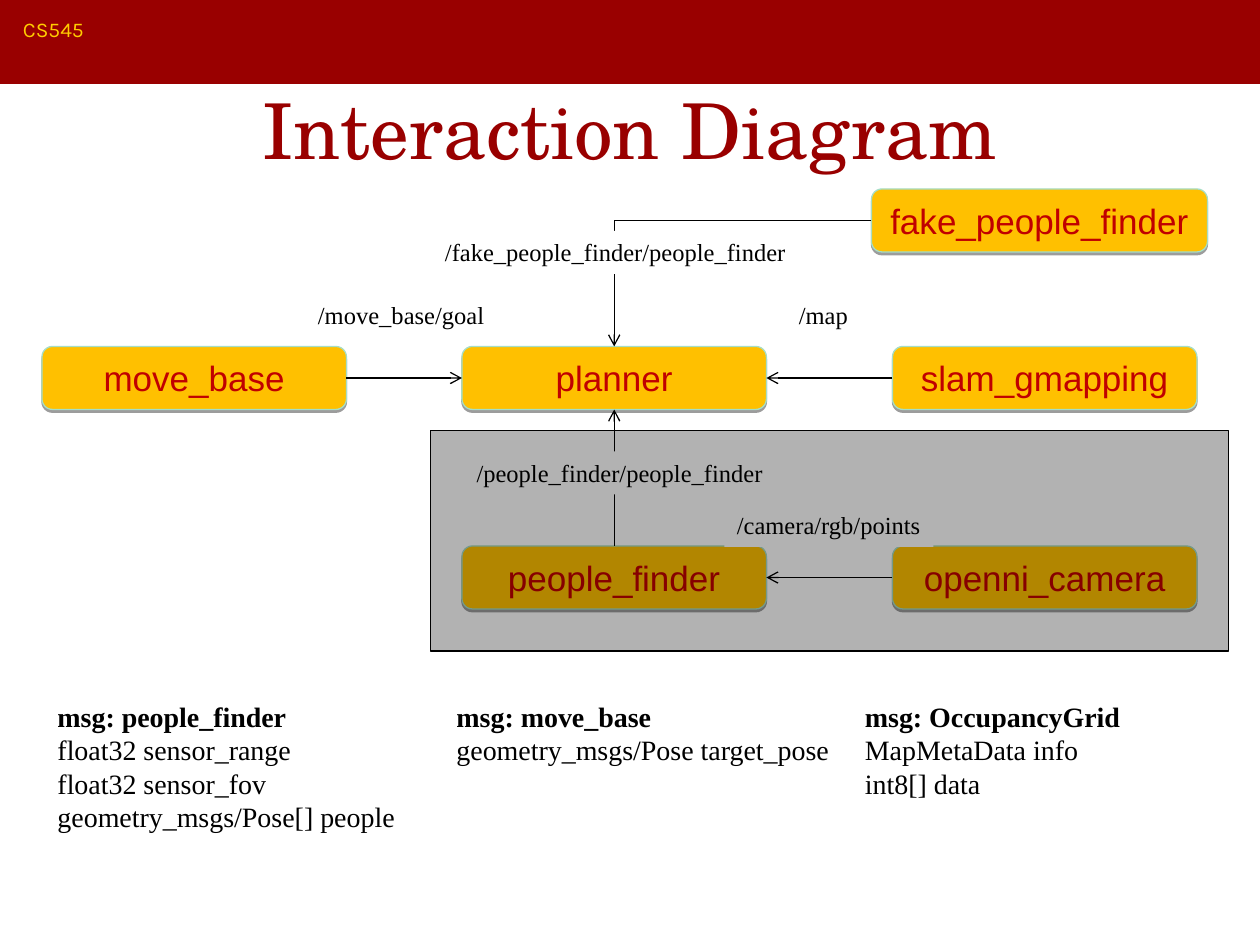
from lxml.etree import SubElement
from pptx import Presentation
from pptx.dml.color import RGBColor
from pptx.enum.shapes import MSO_CONNECTOR, MSO_SHAPE
from pptx.enum.text import MSO_ANCHOR, PP_ALIGN
from pptx.oxml.ns import qn
from pptx.util import Inches, Pt

# Content: positions are in grid units, 120 columns by 90 rows on the slide
COLORS = {"red": "990000", "yellow": "FFCC00", "node": "FFC000", "edge": "A5DEC6",
          "node_text": "C00000", "black": "000000", "white": "FFFFFF"}
UNIT = 1 / 12
NODE_WIDTH, NODE_HEIGHT = 29, 6
LEFT, MIDDLE, RIGHT = 4, 44, 85
UPPER, LOWER = 33, 52

NODES = {  # name: column, row, width
    "move_base": (LEFT, UPPER, NODE_WIDTH),
    "people_finder": (MIDDLE, LOWER, NODE_WIDTH),
    "slam_gmapping": (RIGHT, UPPER, NODE_WIDTH),
    "fake_people_finder": (83, 18, 32),
    "planner": (MIDDLE, UPPER, NODE_WIDTH),
    "openni_camera": (RIGHT, LOWER, NODE_WIDTH),
}
TOP_SIDE, LEFT_SIDE, BOTTOM_SIDE, RIGHT_SIDE = range(4)
LINKS = [  # source, side, target, side
    ("fake_people_finder", LEFT_SIDE, "planner", TOP_SIDE),
    ("people_finder", TOP_SIDE, "planner", BOTTOM_SIDE),
    ("slam_gmapping", LEFT_SIDE, "planner", RIGHT_SIDE),
    ("move_base", RIGHT_SIDE, "planner", LEFT_SIDE),
    ("openni_camera", LEFT_SIDE, "people_finder", RIGHT_SIDE),
]
TOPICS = [  # text, column, row, width
    ("/camera/rgb/points", 69, 48, 19.9),
    ("/map", 74.9, 28, 7.1),
    ("/fake_people_finder/people_finder", 41.2, 22, 34.8),
    ("/move_base/goal", 29.1, 28, 18.2),
    ("/people_finder/people_finder", 44.2, 43, 29.6),
]
MESSAGES = [  # column, width, lines
    (4.3, 34.6, ["msg: people_finder", "float32 sensor_range", "float32 sensor_fov",
                 "geometry_msgs/Pose[] people"]),
    (42.3, 37.9, ["msg: move_base", "geometry_msgs/Pose target_pose"]),
    (81.2, 26.6, ["msg: OccupancyGrid", "MapMetaData info", "int8[] data"]),
]


def grid(*values):
    return [Inches(value * UNIT) for value in values]


def color(name):
    return RGBColor.from_string(COLORS[name])


def add_run(paragraph, text, font_name, size, color_name, bold=False):
    run = paragraph.add_run()
    run.text = text
    run.font.name = font_name
    run.font.size = Pt(size)
    run.font.bold = bold
    run.font.color.rgb = color(color_name)


def add_box(slide, preset, area, fill, line=None):
    shape = slide.shapes.add_shape(preset, *grid(*area))
    shape.fill.solid()
    shape.fill.fore_color.rgb = color(fill)
    if line:
        shape.line.color.rgb = color(line)
        shape.line.width = Pt(0.75)
    else:
        shape.line.fill.background()
    shape.shadow.inherit = False
    return shape


def add_text(slide, area, lines, font_name, size, color_name, wrap=False, bold_first=False):
    box = slide.shapes.add_textbox(*grid(*area))
    frame = box.text_frame
    frame.word_wrap = wrap
    if not wrap:
        frame.margin_right = 0  # spare room keeps each line whole
    for index, line in enumerate(lines):
        paragraph = frame.add_paragraph() if index else frame.paragraphs[0]
        add_run(paragraph, line, font_name, size, color_name, bold_first and index == 0)
    return box


def add_node(slide, name, column, row, width):
    node = add_box(slide, MSO_SHAPE.ROUNDED_RECTANGLE,
                   (column, row, width, NODE_HEIGHT), "node", "edge")
    effects = node._element.spPr.find(qn("a:effectLst"))
    shadow = SubElement(effects, qn("a:outerShdw"), blurRad="0", dist=str(Pt(1.6)),
                        dir="5400000", algn="ctr", rotWithShape="0")
    shade = SubElement(shadow, qn("a:srgbClr"), val=COLORS["black"])
    SubElement(shade, qn("a:alpha"), val="38000")
    frame = node.text_frame
    frame.word_wrap = True
    frame.vertical_anchor = MSO_ANCHOR.MIDDLE
    paragraph = frame.paragraphs[0]
    paragraph.alignment = PP_ALIGN.CENTER
    add_run(paragraph, name, "Arial", 20, "node_text")
    return node


def add_link(slide, source, source_side, target, target_side):
    upward = source_side == TOP_SIDE
    kind = MSO_CONNECTOR.STRAIGHT if upward else MSO_CONNECTOR.ELBOW
    link = slide.shapes.add_connector(kind, 0, 0, 0, 0)
    link.begin_connect(source, source_side)
    link.end_connect(target, target_side)
    link.line.color.rgb = color("black")
    link.line.width = Pt(0.75)
    properties = link._element.spPr
    SubElement(link.line._get_or_add_ln(), qn("a:tailEnd"), type="arrow")
    SubElement(properties, qn("a:effectLst"))
    if target_side == TOP_SIDE:
        # One corner: sideways, then down
        properties.find(qn("a:prstGeom")).set("prst", "bentConnector2")


def main():
    presentation = Presentation()
    presentation.slide_width, presentation.slide_height = Inches(10), Inches(7.5)
    slide = presentation.slides.add_slide(presentation.slide_layouts[6])

    # Header band and title
    add_box(slide, MSO_SHAPE.RECTANGLE, (0, 0, 120, 8), "red")
    add_text(slide, (1, 1, 45, 3.6), ["CS545"], "Karla", 12, "yellow", wrap=True)
    title = add_text(slide, (6, 2.3, 108, 20), ["Interaction Diagram"],
                     "TeX Gyre Schola", 44, "red", wrap=True)
    title.text_frame.vertical_anchor = MSO_ANCHOR.MIDDLE
    title.text_frame.paragraphs[0].alignment = PP_ALIGN.CENTER

    # Nodes and the links between them
    nodes = {name: add_node(slide, name, *place) for name, place in NODES.items()}
    for source, source_side, target, target_side in LINKS:
        add_link(slide, nodes[source], source_side, nodes[target], target_side)

    # Topic labels
    for text, column, row, width in TOPICS:
        label = add_text(slide, (column, row, width, 4.1), [text],
                         "Times New Roman", 14, "black")
        label.fill.solid()
        label.fill.fore_color.rgb = color("white")

    # Translucent cover over the camera part
    cover = add_box(slide, MSO_SHAPE.RECTANGLE, (41, 41, 76, 21), "black", "black")
    tint = cover._element.spPr.find(qn("a:solidFill")).find(qn("a:srgbClr"))
    SubElement(tint, qn("a:alpha"), val="30000")

    # Message definitions
    for column, width, lines in MESSAGES:
        add_text(slide, (column, 66, width, 1.2 + 3.2 * len(lines)), lines,
                 "Times New Roman", 16, "black", bold_first=True)

    presentation.save("out.pptx")


if __name__ == "__main__":
    main()
